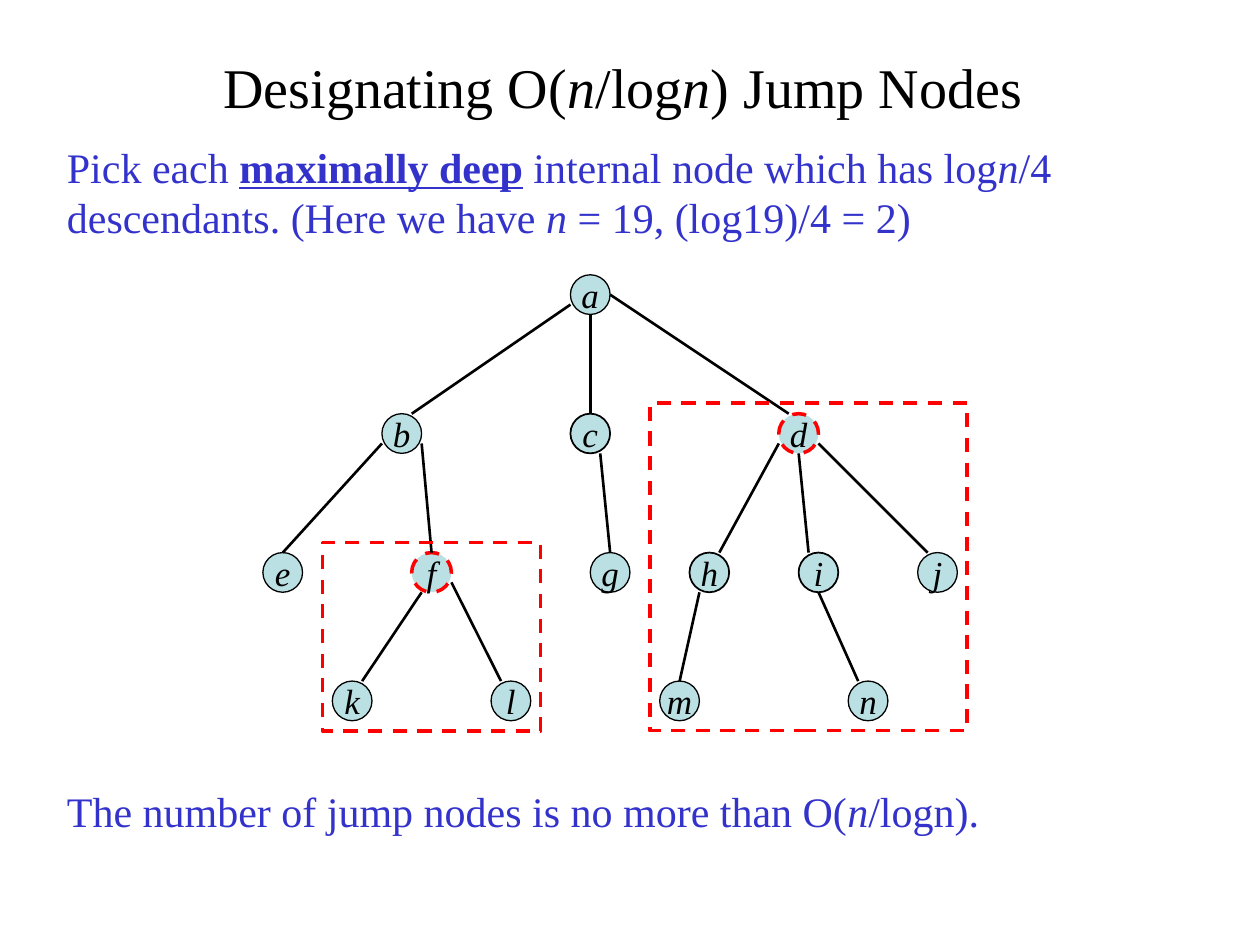
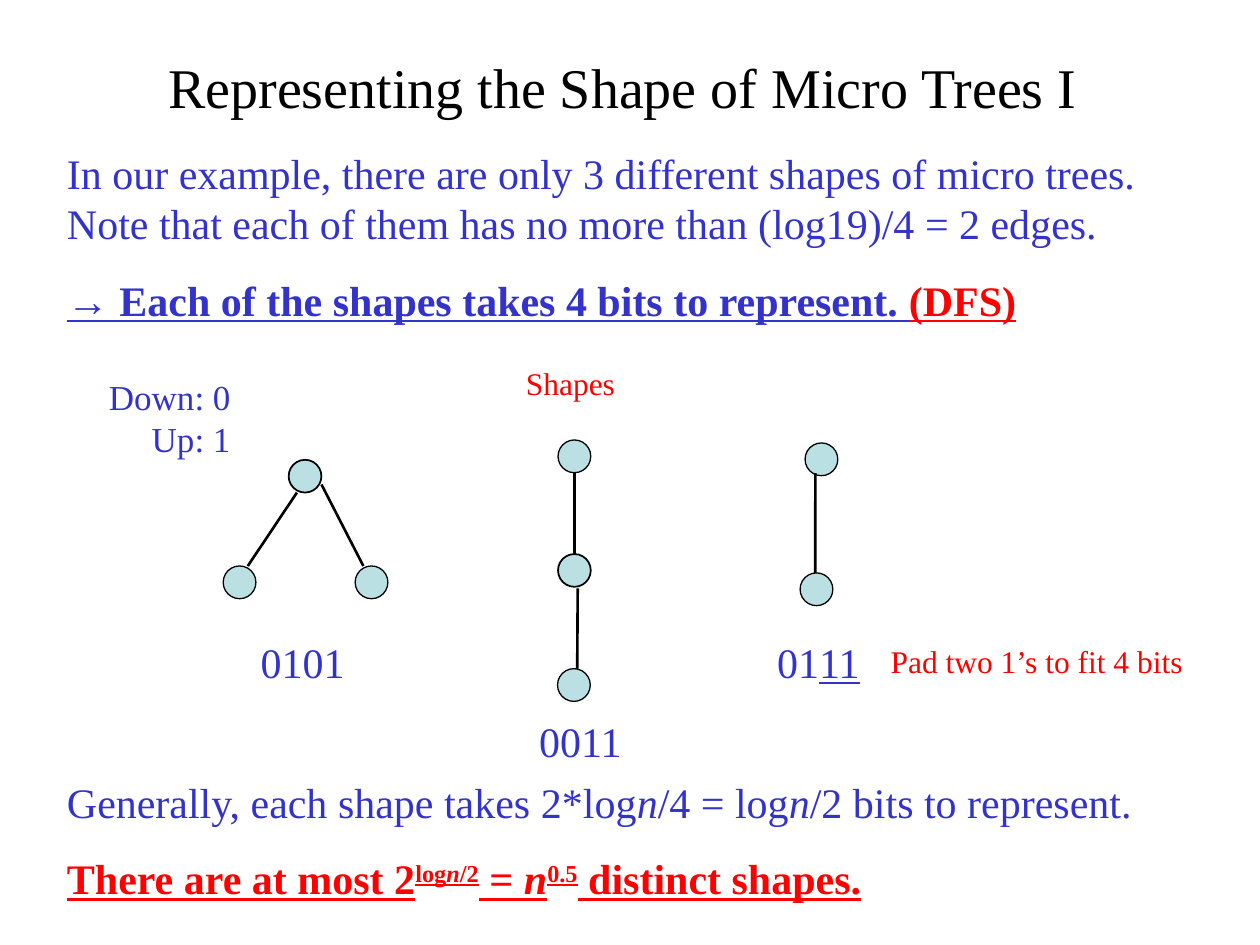
from dataclasses import dataclass, replace
from typing import NamedTuple

from lxml.etree import SubElement
from pptx import Presentation
from pptx.dml.color import RGBColor
from pptx.enum.dml import MSO_LINE
from pptx.enum.shapes import MSO_CONNECTOR, MSO_SHAPE
from pptx.enum.text import MSO_ANCHOR, MSO_AUTO_SIZE, PP_ALIGN
from pptx.oxml.ns import qn
from pptx.util import Inches, Pt


@dataclass(frozen=True)
class Theme:
    ink: RGBColor = RGBColor(0x00, 0x00, 0x00)
    prose: RGBColor = RGBColor(0x33, 0x33, 0xCC)
    accent: RGBColor = RGBColor(0xFF, 0x00, 0x00)
    node: RGBColor = RGBColor(0xBB, 0xE0, 0xE3)
    serif: str = "Times New Roman"
    sans: str = "Arial"
    title: int = 32
    body: int = 24
    label: int = 20
    note: int = 18
    paragraph_gap: int = 15
    outline: float = 0.75
    heavy_outline: float = 1
    edge: float = 1.5
    highlight: float = 2


THEME = Theme()
WIDTH, HEIGHT = Inches(10), Inches(7.5)
COLUMNS = 127
CELL = WIDTH / COLUMNS


def cells(count: float) -> int:
    return round(count * CELL)


class Area(NamedTuple):
    column: float
    row: float
    columns: float
    rows: float

    def lengths(self) -> list[int]:
        return [cells(value) for value in self]


@dataclass(frozen=True)
class Span:
    text: str
    color: RGBColor = THEME.prose
    size: int = THEME.body
    font: str = THEME.serif
    bold: bool = False
    italic: bool = False
    underline: bool = False
    raised: bool = False


@dataclass(frozen=True)
class Passage:
    area: Area
    paragraphs: list[list[Span]]
    align: PP_ALIGN = PP_ALIGN.LEFT
    caption: bool = False


@dataclass(frozen=True)
class Node:
    column: float
    row: float
    label: str = ""
    jump: bool = False
    heavy: bool = False


class Port(NamedTuple):
    right: float
    down: float


class Edge(NamedTuple):
    child: str
    leave: Port
    parent: str
    arrive: Port


@dataclass(frozen=True)
class Tree:
    diameter: float
    nodes: dict[str, Node]
    edges: list[Edge]


TITLE_AREA = Area(6.35, 3.8, 114.3, 9.8)
TOP_LEFT, TOP, TOP_RIGHT = Port(-1, -2), Port(0, -2), Port(1, -2)
LEFT, RIGHT = Port(-2, 1), Port(2, 1)
BOTTOM_LEFT, BOTTOM, BOTTOM_RIGHT = Port(-1, 2), Port(0, 2), Port(1, 2)
PROSE = Span("")
STRESS = Span("", bold=True, underline=True)
CLAIM = replace(STRESS, color=THEME.accent)
HEADING = Span("", color=THEME.ink, size=THEME.title)
NOTE = Span("", color=THEME.accent, size=THEME.note)


def spans(style: Span, *texts: str) -> list[Span]:
    return [replace(style, text=text, italic=text == "n") for text in texts]


def write_spans(paragraph, content: list[Span]) -> None:
    for span in content:
        run = paragraph.add_run()
        run.text = span.text
        font = run.font
        font.name, font.size = span.font, Pt(span.size)
        font.bold, font.italic, font.underline = span.bold, span.italic, span.underline
        font.color.rgb = span.color
        if span.raised:
            run._r.get_or_add_rPr().set("baseline", "30000")


def add_titled_slide(deck, content: list[Span]):
    slide = deck.slides.add_slide(deck.slide_layouts[5])
    title = slide.shapes.title
    title.left, title.top, title.width, title.height = TITLE_AREA.lengths()
    frame = title.text_frame
    frame.auto_size = MSO_AUTO_SIZE.NONE
    frame.vertical_anchor = MSO_ANCHOR.MIDDLE
    frame.paragraphs[0].alignment = PP_ALIGN.CENTER
    write_spans(frame.paragraphs[0], content)
    return slide


def draw_passage(slide, passage: Passage) -> None:
    frame = slide.shapes.add_textbox(*passage.area.lengths()).text_frame
    frame.word_wrap = not passage.caption
    frame.vertical_anchor = MSO_ANCHOR.MIDDLE if passage.caption else MSO_ANCHOR.TOP
    for index, content in enumerate(passage.paragraphs):
        paragraph = frame.add_paragraph() if index else frame.paragraphs[0]
        paragraph.alignment = passage.align
        if index and not passage.caption:
            paragraph.space_before = Pt(THEME.paragraph_gap)
        write_spans(paragraph, content)


def caption(column: float, row: float, content: list[Span], columns: float = 22) -> Passage:
    return Passage(Area(column, row, columns, 4), [content], PP_ALIGN.CENTER, True)


def highlight(shape) -> None:
    shape.line.color.rgb = THEME.accent
    shape.line.width = Pt(THEME.highlight)
    shape.line.dash_style = MSO_LINE.DASH


def draw_node(slide, node: Node, diameter: float) -> None:
    area = Area(node.column - diameter / 2, node.row - diameter / 2, diameter, diameter)
    circle = slide.shapes.add_shape(MSO_SHAPE.OVAL, *area.lengths())
    circle.shadow.inherit = False
    circle.fill.solid()
    circle.fill.fore_color.rgb = THEME.node
    if node.jump:
        highlight(circle)
    else:
        circle.line.color.rgb = THEME.ink
        circle.line.width = Pt(THEME.heavy_outline if node.heavy else THEME.outline)
    if node.label:
        frame = circle.text_frame
        frame.word_wrap = False
        frame.vertical_anchor = MSO_ANCHOR.MIDDLE
        frame.paragraphs[0].alignment = PP_ALIGN.CENTER
        write_spans(frame.paragraphs[0],
                    [Span(node.label, THEME.ink, THEME.label, italic=True)])


def port_position(node: Node, port: Port, diameter: float) -> tuple[int, int]:
    quarter = diameter / 4
    return cells(node.column + port.right * quarter), cells(node.row + port.down * quarter)


def draw_tree(slide, tree: Tree) -> None:
    for node in tree.nodes.values():
        draw_node(slide, node, tree.diameter)
    for edge in tree.edges:
        start = port_position(tree.nodes[edge.child], edge.leave, tree.diameter)
        end = port_position(tree.nodes[edge.parent], edge.arrive, tree.diameter)
        branch = slide.shapes.add_connector(MSO_CONNECTOR.STRAIGHT, *start, *end)
        branch.line.color.rgb = THEME.ink
        branch.line.width = Pt(THEME.edge)
        SubElement(branch._element.spPr, qn("a:effectLst"))


def draw_micro_tree_frame(slide, area: Area) -> None:
    frame = slide.shapes.add_shape(MSO_SHAPE.RECTANGLE, *area.lengths())
    frame.shadow.inherit = False
    frame.fill.background()
    highlight(frame)


LEVELS = [
    (29.7, {"a": 59.5}),
    (43.7, {"b": 40.5, "c": 59.5, "d": 80.5}),
    (57.7, {"e": 28.5, "f": 43.5, "g": 61.5, "h": 71.5, "i": 82.5, "j": 94.5}),
    (70.65, {"k": 35.5, "l": 51.5, "m": 68.5, "n": 87.5}),
]
EXAMPLE_TREE = Tree(
    4,
    {name: Node(column, row, name, jump=name in "df", heavy=name in "chi")
     for row, level in LEVELS for name, column in level.items()},
    [
        Edge("b", TOP_RIGHT, "a", LEFT),
        Edge("c", TOP, "a", BOTTOM),
        Edge("d", TOP_LEFT, "a", Port(2, 0)),
        Edge("e", TOP, "b", LEFT),
        Edge("f", TOP, "b", RIGHT),
        Edge("g", TOP, "c", BOTTOM_RIGHT),
        Edge("h", TOP_RIGHT, "d", LEFT),
        Edge("i", TOP_LEFT, "d", BOTTOM),
        Edge("j", TOP_LEFT, "d", RIGHT),
        Edge("k", TOP_RIGHT, "f", BOTTOM_LEFT),
        Edge("l", TOP_LEFT, "f", RIGHT),
        Edge("m", TOP, "h", BOTTOM_LEFT),
        Edge("n", TOP_LEFT, "i", BOTTOM),
    ],
)
MICRO_TREE_FRAMES = [Area(32.5, 54.7, 22, 19), Area(65.5, 40.65, 32, 33)]
JUMP_PASSAGES = [
    Passage(Area(5.5, 13.6, 117, 11.4), [[
        *spans(PROSE, "Pick each "),
        *spans(STRESS, "maximally deep"),
        *spans(PROSE, " internal node which has log", "n",
               "/4 descendants. (Here we have ", "n", " = 19, (log19)/4 = 2)"),
    ]]),
    Passage(Area(5.5, 78.6, 117, 6.4), [
        spans(PROSE, "The number of jump nodes is no more than O(", "n", "/logn)."),
    ]),
]

MICRO_TREES = [
    Tree(3.3,
         {"root": Node(30.75, 48, heavy=True), "first": Node(24.15, 58.7),
          "second": Node(37.45, 58.7)},
         [Edge("first", TOP_RIGHT, "root", BOTTOM_LEFT),
          Edge("second", TOP_LEFT, "root", RIGHT)]),
    Tree(3.3,
         {"root": Node(57.9, 46), "middle": Node(57.9, 57.5, heavy=True),
          "leaf": Node(57.85, 69.05)},
         [Edge("middle", TOP, "root", BOTTOM),
          Edge("leaf", Port(0.4, -2), "middle", Port(0.4, 2.2))]),
    Tree(3.3,
         {"root": Node(82.8, 46.3), "leaf": Node(82.3, 59.4)},
         [Edge("leaf", Port(-0.15, -2), "root", Port(-0.75, 1.7))]),
]
CODE_ROW = 64.65
SHAPE_PASSAGES = [
    Passage(Area(5.5, 14.2, 117, 19.2), [
        spans(PROSE, "In our example, there are only 3 different shapes of micro trees. "
                     "Note that each of them has no more than (log19)/4 = 2 edges."),
        [
            *spans(replace(STRESS, font=THEME.sans), "→"),
            *spans(STRESS, " Each of the shapes takes 4 bits to represent. "),
            *spans(CLAIM, "(DFS)"),
        ],
    ]),
    caption(46.5, 36.6, spans(NOTE, "Shapes")),
    Passage(Area(9.5, 37.6, 15, 9),
            [[Span(rule, size=THEME.label)] for rule in ("Down: 0", "Up: 1")],
            PP_ALIGN.RIGHT, True),
    caption(19.5, CODE_ROW, spans(PROSE, "0101")),
    caption(47.5, 72.65, spans(PROSE, "0011")),
    caption(71.5, CODE_ROW, [Span("01"), Span("11", underline=True)]),
    caption(88.5, CODE_ROW, spans(NOTE, "Pad two 1’s to fit 4 bits"), 32),
    Passage(Area(5.5, 77.6, 117, 14.1), [
        spans(PROSE, "Generally, each shape takes 2*log", "n", "/4 = log", "n",
              "/2 bits to represent."),
        [
            *spans(CLAIM, "There are at most 2"),
            *spans(replace(CLAIM, raised=True), "log", "n", "/2"),
            *spans(CLAIM, " = ", "n"),
            *spans(replace(CLAIM, raised=True), "0.5"),
            *spans(CLAIM, " distinct shapes."),
        ],
    ]),
]


def build_slide(deck, heading: list[Span], trees: list[Tree],
                frames: list[Area], passages: list[Passage]) -> None:
    slide = add_titled_slide(deck, heading)
    for tree in trees:
        draw_tree(slide, tree)
    for area in frames:
        draw_micro_tree_frame(slide, area)
    for passage in passages:
        draw_passage(slide, passage)


def main() -> None:
    deck = Presentation()
    deck.slide_width, deck.slide_height = WIDTH, HEIGHT
    build_slide(deck, spans(HEADING, "Designating O(", "n", "/log", "n", ") Jump Nodes "),
                [EXAMPLE_TREE], MICRO_TREE_FRAMES, JUMP_PASSAGES)
    build_slide(deck, spans(HEADING, "Representing the Shape of Micro Trees I "),
                MICRO_TREES, [], SHAPE_PASSAGES)
    deck.save("out.pptx")


if __name__ == "__main__":
    main()
